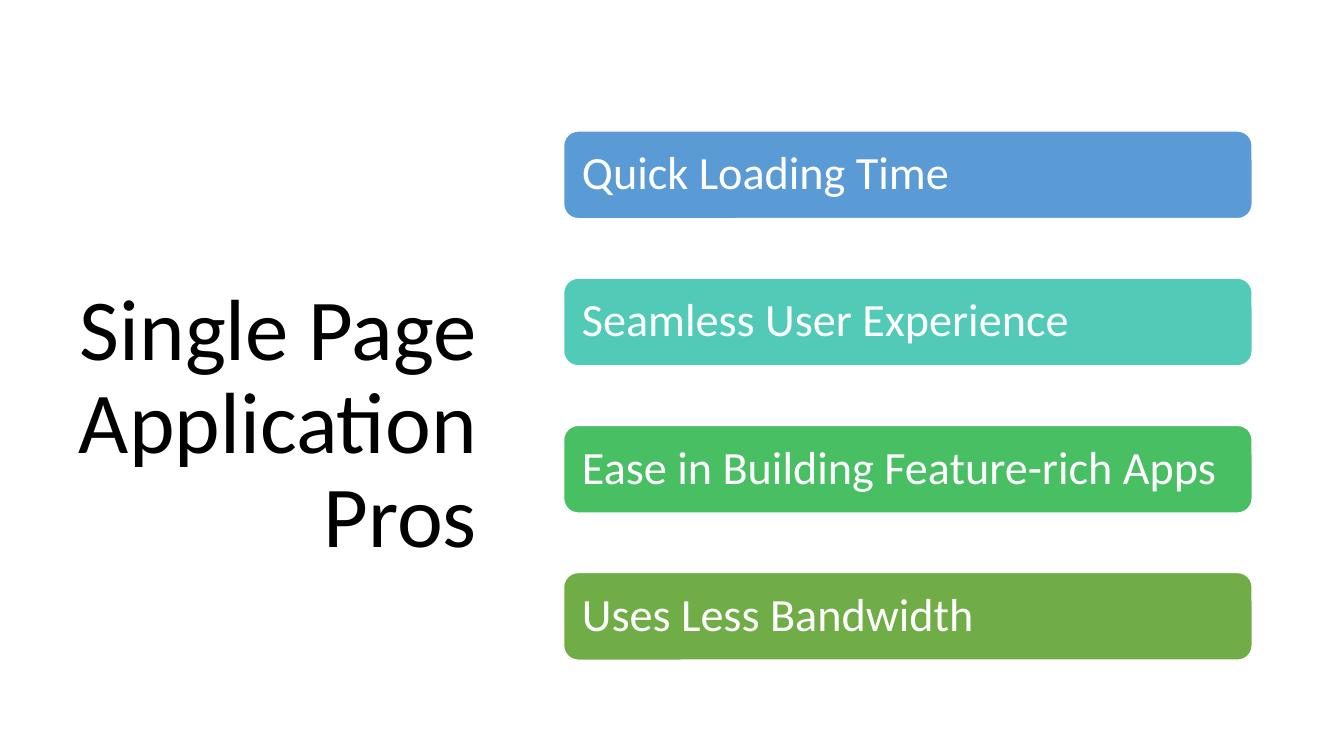
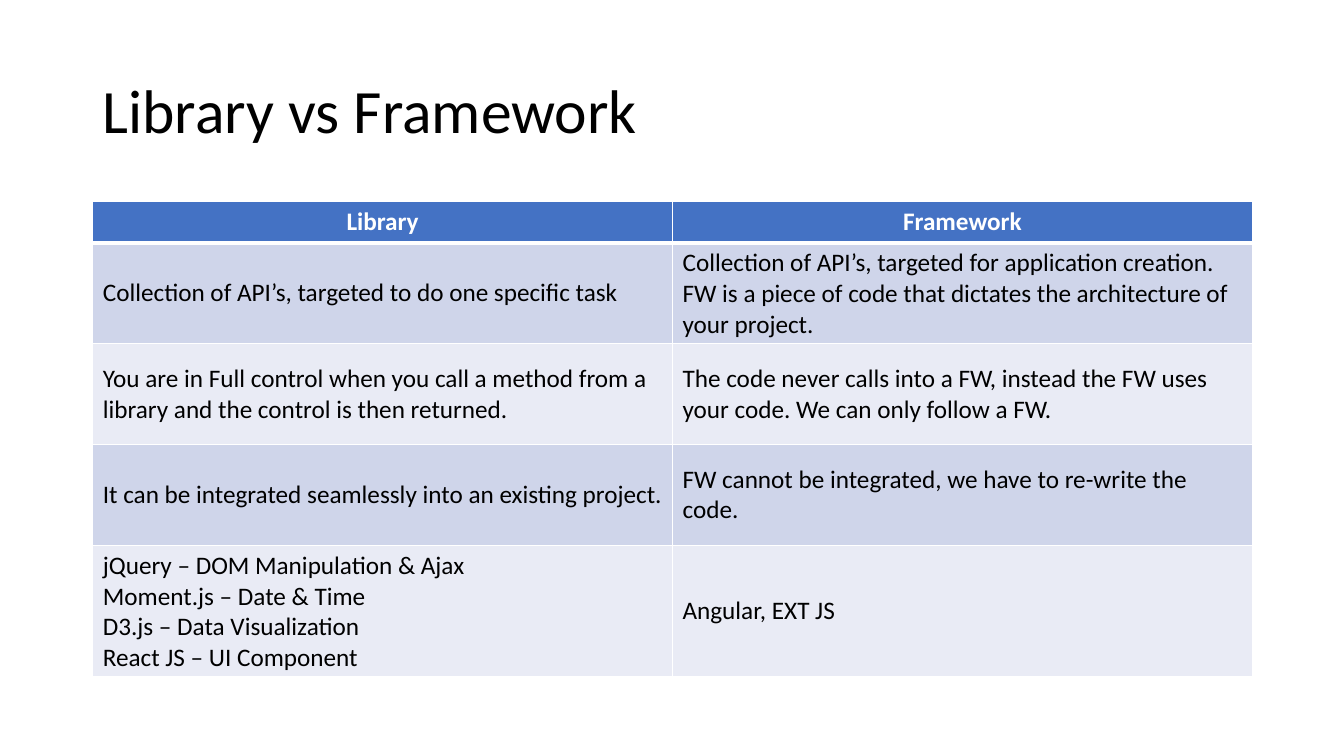
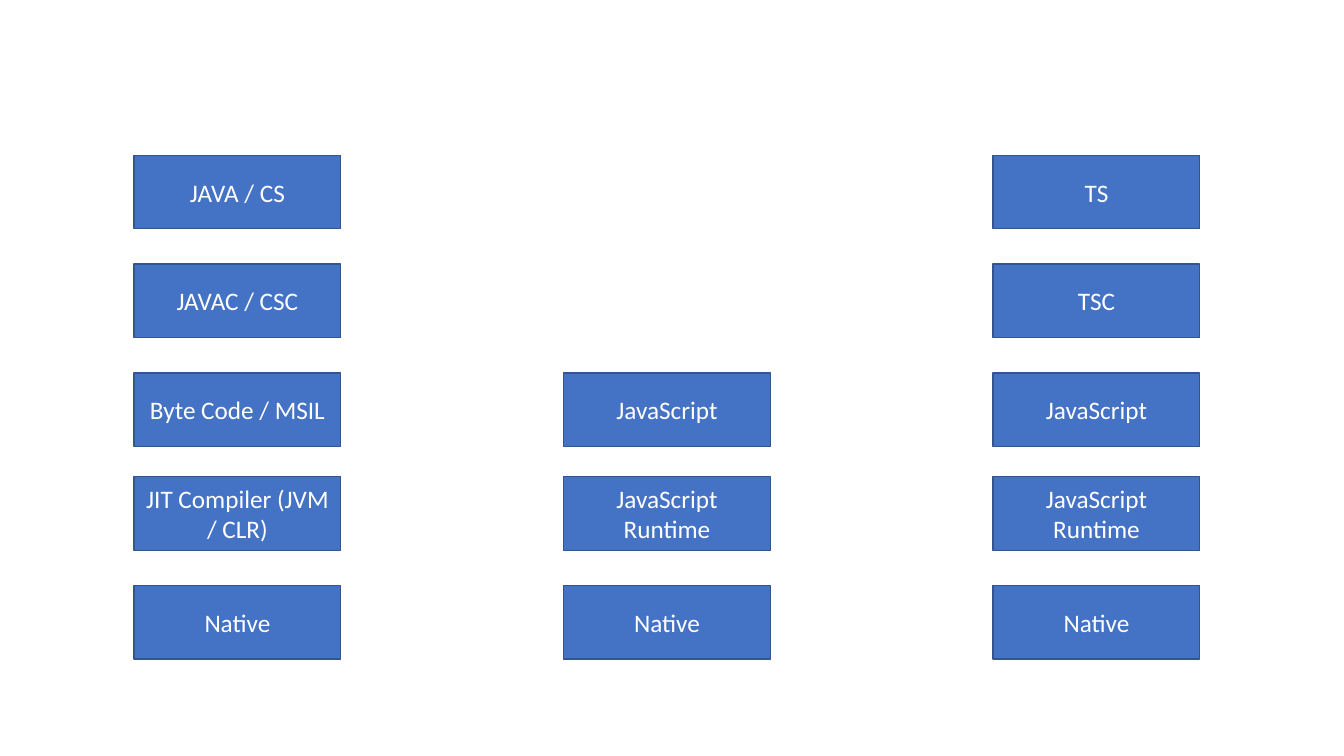
from lxml.etree import SubElement
from pptx import Presentation
from pptx.dml.color import RGBColor
from pptx.enum.shapes import MSO_SHAPE
from pptx.enum.text import MSO_ANCHOR, PP_ALIGN
from pptx.oxml.ns import qn
from pptx.util import Inches, Pt

# Shared look
FONT = "Calibri"
HUES = {
    "ink": "000000", "white": "FFFFFF", "blue": "4472C4", "edge": "325491",
    "odd": "CFD5EA", "even": "E9EBF5",
    "sky": "5B9BD5", "teal": "52CAB8", "green": "49BF64", "olive": "70AD47",
}

# Content
PROS = [
    ("Quick Loading Time", "sky"),
    ("Seamless User Experience", "teal"),
    ("Ease in Building Feature-rich Apps", "green"),
    ("Uses Less Bandwidth", "olive"),
]
ROWS = [
    ("Library", "Framework"),
    ("Collection of API’s, targeted to do one specific task",
     "Collection of API’s, targeted for application creation. "
     "FW is a piece of code that dictates the architecture of your project."),
    ("You are in Full control when you call a method from a library "
     "and the control is then returned.",
     "The code never calls into a FW, instead the FW uses your code. "
     "We can only follow a FW."),
    ("It can be integrated seamlessly into an existing project.",
     "FW cannot be integrated, we have to re-write the code."),
    ("jQuery – DOM Manipulation & Ajax\nMoment.js – Date & Time\n"
     "D3.js – Data Visualization\nReact JS – UI Component",
     "Angular, EXT JS"),
]
# Each stack ends on the bottom row
STACKS = [
    ["JAVA / CS", "JAVAC / CSC", "Byte Code / MSIL",
     "JIT Compiler (JVM / CLR)", "Native"],
    ["JavaScript", "JavaScript Runtime", "Native"],
    ["TS", "TSC", "JavaScript", "JavaScript Runtime", "Native"],
]
TOPS = [1.54, 2.62, 3.7, 4.73, 5.81]


def color(name):
    return RGBColor.from_string(HUES[name])


def write(frame, text, size, hue, align=PP_ALIGN.LEFT, bold=False, space=None):
    frame.text = text
    for para in frame.paragraphs:
        para.alignment = align
        para.line_spacing = space
        for run in para.runs:
            run.font.name = FONT
            run.font.size = Pt(size)
            run.font.bold = bold
            run.font.color.rgb = color(hue)


def title(slide, text, area, size, align=PP_ALIGN.LEFT):
    frame = slide.shapes.add_textbox(*map(Inches, area)).text_frame
    frame.word_wrap = True
    frame.vertical_anchor = MSO_ANCHOR.MIDDLE
    write(frame, text, size, "ink", align, space=0.9)


def box(slide, kind, area, fill, edge):
    shape = slide.shapes.add_shape(kind, *map(Inches, area))
    shape.shadow.inherit = False
    shape.fill.solid()
    shape.fill.fore_color.rgb = color(fill)
    shape.line.color.rgb = color(edge)
    shape.line.width = Pt(1)
    frame = shape.text_frame
    frame.word_wrap = True
    frame.vertical_anchor = MSO_ANCHOR.MIDDLE
    return frame


def border(cell, top, base):
    props = cell._tc.get_or_add_tcPr()
    for side, width in (("L", 1), ("R", 1), ("T", top), ("B", base)):
        line = SubElement(props, qn("a:ln" + side), w=str(Pt(width)))
        fill = SubElement(line, qn("a:solidFill"))
        SubElement(fill, qn("a:srgbClr"), val=HUES["white"])


def grid(slide, rows, area, highs):
    table = slide.shapes.add_table(
        len(rows), len(rows[0]), *map(Inches, area)).table
    table.first_row = table.horz_banding = False
    for r, row in enumerate(rows):
        table.rows[r].height = Inches(highs[r])
        head = r == 0
        fill = "blue" if head else "odd" if r % 2 else "even"
        for c, text in enumerate(row):
            cell = table.cell(r, c)
            border(cell, 3 if r == 1 else 1, 3 if head else 1)
            cell.fill.solid()
            cell.fill.fore_color.rgb = color(fill)
            if head:
                write(cell.text_frame, text, 18, "white",
                      PP_ALIGN.CENTER, bold=True)
            else:
                cell.vertical_anchor = MSO_ANCHOR.MIDDLE
                write(cell.text_frame, text, 18, "ink")


def pros(slide):
    title(slide, "Single Page Application Pros", (0.52, 1.17, 4.31, 6.11),
          62, PP_ALIGN.RIGHT)
    for i, (text, hue) in enumerate(PROS):
        area = (5.59, 1.3 + i * 1.46, 6.83, 0.87)
        frame = box(slide, MSO_SHAPE.ROUNDED_RECTANGLE, area, hue, "white")
        frame.margin_left = frame.margin_right = Inches(0.14)
        write(frame, text, 33, "white", space=0.9)


def versus(slide):
    title(slide, "Library vs Framework", (0.92, 0.4, 11.5, 1.45), 44)
    grid(slide, ROWS, (0.92, 2, 11.5, 4.71), [0.41, 1, 1, 1, 1.3])


def stacks(slide):
    for c, stack in enumerate(STACKS):
        for top, text in zip(TOPS[-len(stack):], stack):
            area = (1.33 + c * 4.26, top, 2.05, 0.73)
            frame = box(slide, MSO_SHAPE.RECTANGLE, area, "blue", "edge")
            write(frame, text, 18, "white", PP_ALIGN.CENTER)


def main():
    deck = Presentation()
    deck.slide_width = Inches(13.33)
    deck.slide_height = Inches(7.5)
    for draw in (pros, versus, stacks):
        draw(deck.slides.add_slide(deck.slide_layouts[6]))
    deck.save("out.pptx")


if __name__ == "__main__":
    main()
